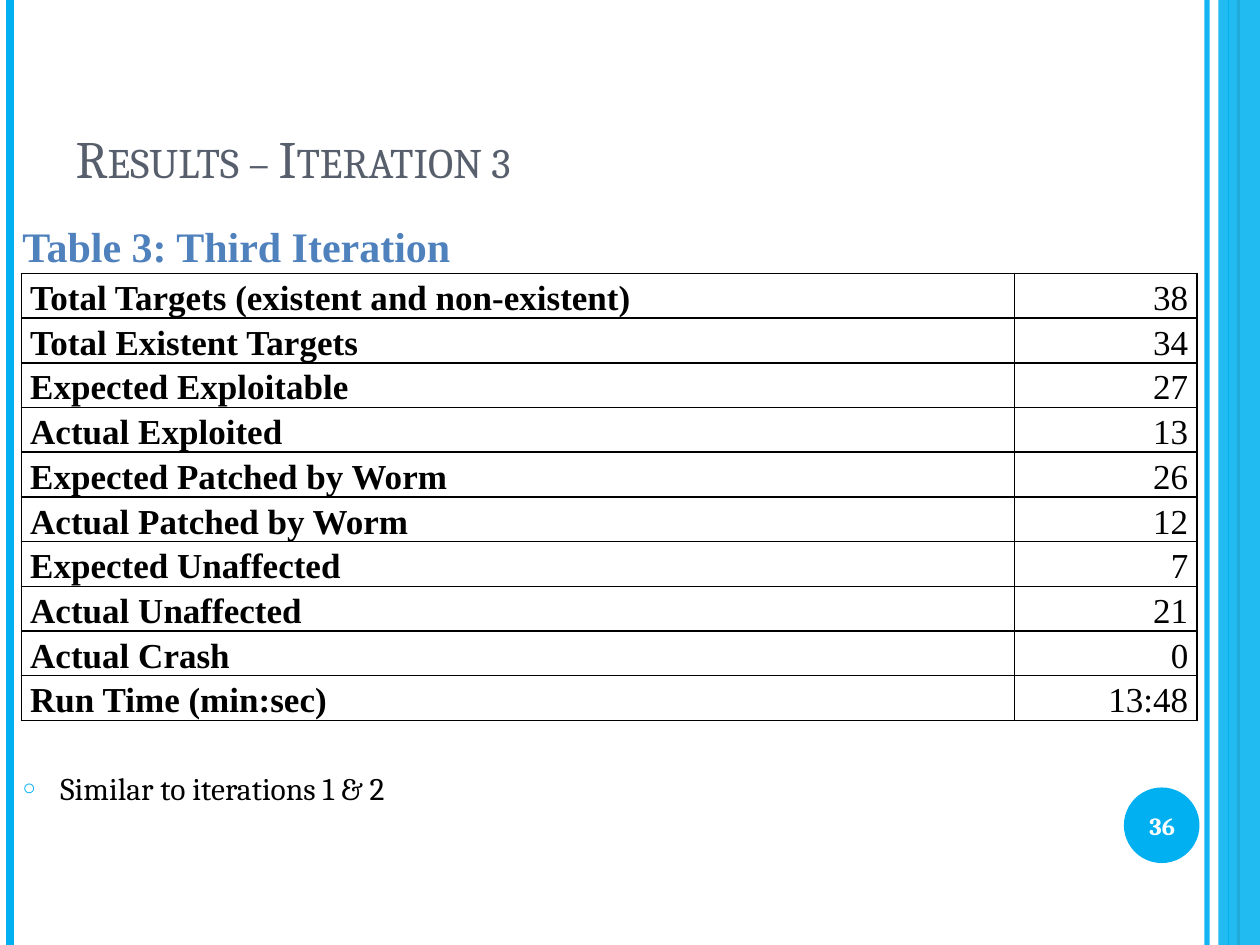
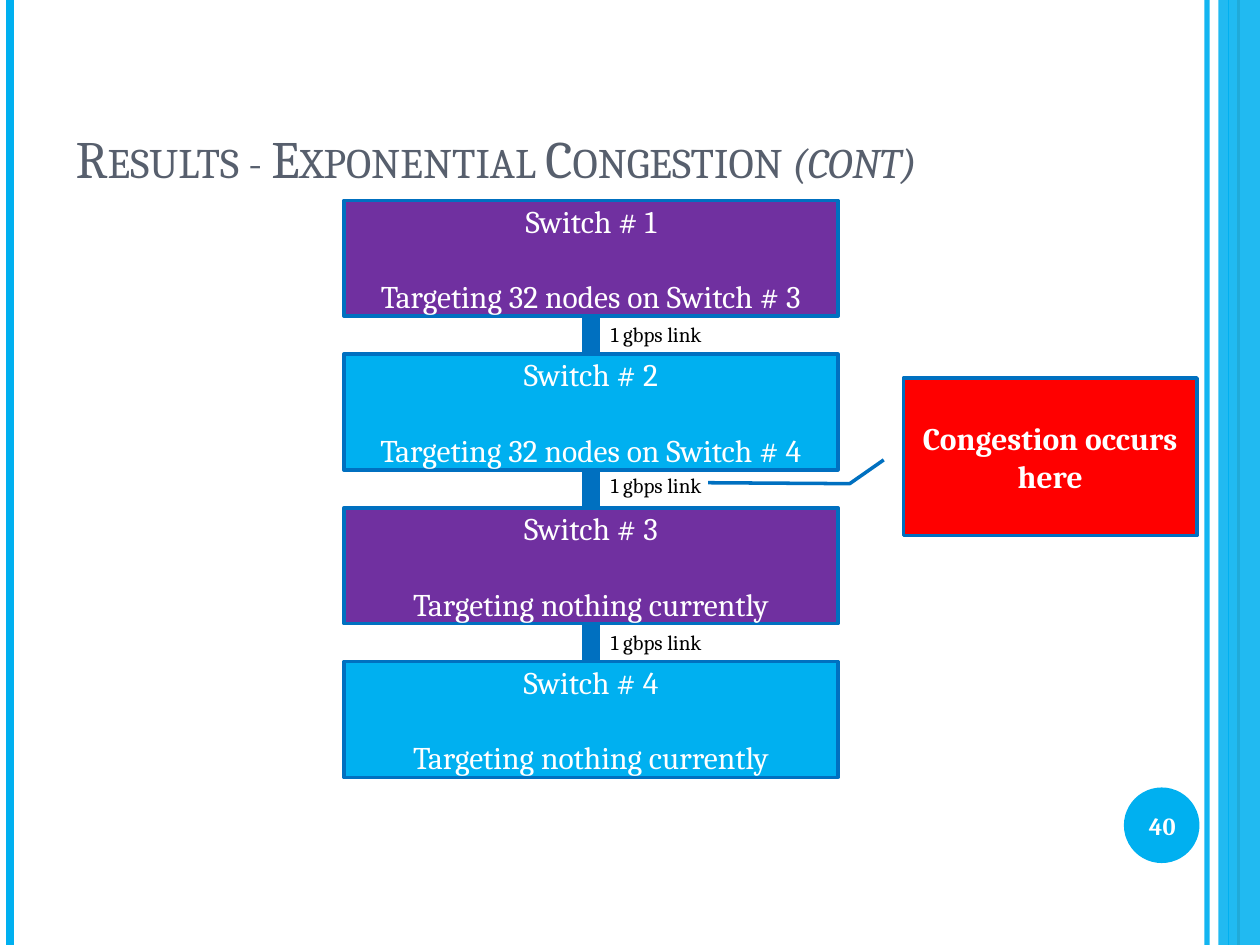
"""Build two results slides: a table of the third iteration and a congestion diagram."""
from lxml.etree import SubElement
from pptx import Presentation
from pptx.dml.color import RGBColor
from pptx.enum.shapes import MSO_CONNECTOR, MSO_SHAPE
from pptx.enum.text import MSO_ANCHOR, MSO_AUTO_SIZE, PP_ALIGN
from pptx.oxml.ns import qn
from pptx.util import Inches, Pt

SKY = RGBColor(0x00, 0xB0, 0xF0)
BLUE = RGBColor(0x00, 0x70, 0xC0)
PURPLE = RGBColor(0x70, 0x30, 0xA0)
RED = RGBColor(0xFF, 0x00, 0x00)
ORANGE = RGBColor(0xFE, 0x86, 0x37)
SLATE = RGBColor(0x57, 0x5F, 0x6D)
CAPTION_BLUE = RGBColor(0x4F, 0x81, 0xBD)
BLACK = RGBColor(0x00, 0x00, 0x00)
WHITE = RGBColor(0xFF, 0xFF, 0xFF)

SERIF, TIMES = "Cambria", "Times New Roman"
TITLE = {"name": SERIF, "size": Pt(30), "color": SLATE}
BULLET = {"name": SERIF, "size": Pt(18), "color": BLACK}
PAGE_NUMBER = {"name": SERIF, "size": Pt(14), "color": WHITE, "bold": True}
CAPTION = {"name": TIMES, "size": Pt(24), "color": CAPTION_BLUE, "bold": True}
ROW_LABEL = {"name": TIMES, "size": Pt(20), "color": BLACK, "bold": True}
ROW_VALUE = {**ROW_LABEL, "bold": False}
SWITCH = {"name": SERIF, "size": Pt(18), "color": WHITE}
CALLOUT = {**SWITCH, "bold": True}
LINK = {"name": SERIF, "size": Pt(12), "color": BLACK}

ITERATION = {
    "title": [("Results – Iteration 3", False)],
    "number": "36",
    "caption": "Table 3: Third Iteration",
    "rows": [
        ("Total Targets (existent and non-existent)", "38"),
        ("Total Existent Targets", "34"),
        ("Expected Exploitable", "27"),
        ("Actual Exploited", "13"),
        ("Expected Patched by Worm", "26"),
        ("Actual Patched by Worm", "12"),
        ("Expected Unaffected", "7"),
        ("Actual Unaffected", "21"),
        ("Actual Crash", "0"),
        ("Run Time (min:sec)", "13:48"),
    ],
    "bullet": "Similar to iterations 1 & 2",
}
CONGESTION = {
    "title": [("Results - Exponential Congestion ", False), ("(cont)", True)],
    "number": "40",
    "switches": [
        ("Switch # 1", "Targeting 32 nodes on Switch # 3"),
        ("Switch # 2", "Targeting 32 nodes on Switch # 4"),
        ("Switch # 3", "Targeting nothing currently"),
        ("Switch # 4", "Targeting nothing currently"),
    ],
    "link": "1 gbps link",
    "callout": "Congestion occurs here",
}
CALLOUT_BENDS = [0.52, -0.067, 0.671, -0.183, 0.665, -0.665]
SWITCH_LEFT, SWITCH_TOP, SWITCH_WIDTH, SWITCH_HEIGHT = 2.73, 1.59, 3.92, 0.92
SWITCH_STEP = 1.22
LINK_TOPS = (2.5, 3.7, 4.95)
COLUMN_WIDTHS = (7.88, 1.45)
TABLE_HEIGHT = 3.55


def add_span(para, text, style):
    """Append a run and give it the font values of a style."""
    span = para.add_run()
    span.text = text
    for name, value in style.items():
        if name == "color":
            span.font.color.rgb = value
        else:
            setattr(span.font, name, value)
    return span


def write(frame, lines, style, align=PP_ALIGN.LEFT, anchor=MSO_ANCHOR.MIDDLE, gap=0):
    """Write one paragraph per line, with a gap in points between them."""
    frame.word_wrap = True
    frame.vertical_anchor = anchor
    for index, line in enumerate(lines):
        para = frame.add_paragraph() if index else frame.paragraphs[0]
        para.alignment = align
        if index:
            para.space_before = Pt(gap)
        add_span(para, line, style)


def set_alpha(shape, percent):
    """Make the first colour of a shape partly transparent."""
    color = next(shape._element.spPr.iter(qn("a:srgbClr")))
    SubElement(color, qn("a:alpha")).set("val", str(percent * 1000))


def add_line(page, start, end, color, width):
    """Draw a straight line without a shadow."""
    ends = [Inches(value) for value in (*start, *end)]
    line = page.shapes.add_connector(MSO_CONNECTOR.STRAIGHT, *ends)
    line.line.color.rgb = color
    line.line.width = Pt(width)
    SubElement(line._element.spPr, qn("a:effectLst"))
    return line


def add_shape(page, kind, place, fill, outline=None):
    """Draw a filled preset shape with an optional outline."""
    shape = page.shapes.add_shape(kind, *map(Inches, place))
    shape.shadow.inherit = False
    shape.fill.solid()
    shape.fill.fore_color.rgb = fill
    if outline is None:
        shape.line.fill.background()
    else:
        shape.line.color.rgb = outline
        shape.line.width = Pt(2)
    return shape


def add_text(page, place, text, style, **options):
    """Add a text box holding one line."""
    box = page.shapes.add_textbox(*map(Inches, place))
    write(box.text_frame, [text], style, **options)
    return box


def move(shape, place):
    """Set the position and size of a placeholder."""
    for name, value in zip(("left", "top", "width", "height"), place):
        setattr(shape, name, Inches(value))


def add_page(deck, layout, content):
    """Add a slide with the shared bands, title and page number."""
    page = deck.slides.add_slide(deck.slide_layouts[layout])

    def add_band(x, color, width):
        return add_line(page, (x, 0), (x, 7.5), color, width)

    set_alpha(add_band(9.58, SKY, 3), 93)
    add_band(0.08, SKY, 4.5)
    add_band(9.83, ORANGE, 1.5)
    set_alpha(add_shape(page, MSO_SHAPE.RECTANGLE, (9.67, 0, 0.33, 7.5), SKY), 87)
    add_band(9.75, SKY, 0.75)
    add_shape(page, MSO_SHAPE.OVAL, (8.92, 6.25, 0.6, 0.6), SKY)
    add_text(page, (8.89, 6.27, 0.67, 0.57), content["number"], PAGE_NUMBER,
             align=PP_ALIGN.CENTER)

    title = page.shapes.title
    move(title, (0.5, 0.3, 8.17, 1.25))
    frame = title.text_frame
    frame.auto_size = MSO_AUTO_SIZE.NONE
    frame.vertical_anchor = MSO_ANCHOR.BOTTOM
    frame.paragraphs[0].alignment = PP_ALIGN.LEFT
    for text, italic in content["title"]:
        span = add_span(frame.paragraphs[0], text, {**TITLE, "italic": italic})
        span._r.get_or_add_rPr().set("cap", "small")
    return page


def add_bullet(body, text):
    """Fill the body placeholder with one ring-bulleted line."""
    move(body, (0.08, 6.05, 9, 0.87))
    body.text_frame.auto_size = MSO_AUTO_SIZE.NONE
    write(body.text_frame, [text], BULLET, anchor=MSO_ANCHOR.TOP)
    para = body.text_frame.paragraphs[0]
    para.space_before = Pt(6)
    props = para._p.get_or_add_pPr()
    props.set("marL", str(Inches(0.3)))
    props.set("indent", str(-Inches(0.3)))
    color = SubElement(props, qn("a:buClr"))
    SubElement(color, qn("a:srgbClr")).set("val", str(SKY))
    SubElement(props, qn("a:buSzPct")).set("val", "70000")
    SubElement(props, qn("a:buChar")).set("char", "○")


def format_cell(cell, text, style, align):
    """Write a table cell with black borders and no fill."""
    margins = {"margin_left": 0.07, "margin_right": 0.07, "margin_top": 0, "margin_bottom": 0}
    for name, value in margins.items():
        setattr(cell, name, Inches(value))
    cell.vertical_anchor = MSO_ANCHOR.BOTTOM
    para = cell.text_frame.paragraphs[0]
    para.alignment = align
    para.line_spacing = 1.05
    add_span(para, text, style)
    props = cell._tc.get_or_add_tcPr()
    for side in ("lnL", "lnR", "lnT", "lnB"):
        border = SubElement(props, qn(f"a:{side}"), w=str(Pt(1)))
        fill = SubElement(border, qn("a:solidFill"))
        SubElement(fill, qn("a:srgbClr")).set("val", str(BLACK))
    cell.fill.background()


def build_iteration(deck):
    """Build the slide with the table of results."""
    page = add_page(deck, 1, ITERATION)
    add_bullet(page.placeholders[1], ITERATION["bullet"])
    rows = ITERATION["rows"]
    place = map(Inches, (0.17, 2.17, sum(COLUMN_WIDTHS), TABLE_HEIGHT))
    table = page.shapes.add_table(len(rows), len(COLUMN_WIDTHS), *place).table
    table.first_row = table.horz_banding = False
    for column, width in zip(table.columns, COLUMN_WIDTHS):
        column.width = Inches(width)
    for index, (label, value) in enumerate(rows):
        format_cell(table.cell(index, 0), label, ROW_LABEL, PP_ALIGN.LEFT)
        format_cell(table.cell(index, 1), value, ROW_VALUE, PP_ALIGN.RIGHT)
    caption = add_text(page, (0.08, 1.7, 3.63, 0.5), ITERATION["caption"], CAPTION)
    caption.text_frame.word_wrap = False


def build_congestion(deck):
    """Build the slide with the chain of switches."""
    page = add_page(deck, 5, CONGESTION)
    switches = CONGESTION["switches"]
    tops = [SWITCH_TOP + SWITCH_STEP * index for index in range(len(switches))]
    for index, (top, lines) in enumerate(zip(tops, switches)):
        place = (SWITCH_LEFT, top, SWITCH_WIDTH, SWITCH_HEIGHT)
        color = (PURPLE, SKY)[index % 2]
        box = add_shape(page, MSO_SHAPE.RECTANGLE, place, color, BLUE)
        write(box.text_frame, lines, SWITCH, PP_ALIGN.CENTER, gap=21.5)
    middle = SWITCH_LEFT + SWITCH_WIDTH / 2
    for top, below, link_top in zip(tops, tops[1:], LINK_TOPS):
        add_line(page, (middle, top + SWITCH_HEIGHT), (middle, below), BLUE, 10)
        add_text(page, (4.75, link_top, 1.08, 0.3), CONGESTION["link"], LINK)
    callout = add_shape(page, MSO_SHAPE.LINE_CALLOUT_2, (7.17, 3, 2.33, 1.25), RED, BLUE)
    for index, bend in enumerate(CALLOUT_BENDS):
        callout.adjustments[index] = bend
    write(callout.text_frame, [CONGESTION["callout"]], CALLOUT, PP_ALIGN.CENTER)


def main():
    """Build and save the deck."""
    deck = Presentation()
    deck.slide_width, deck.slide_height = Inches(10), Inches(7.5)
    build_iteration(deck)
    build_congestion(deck)
    deck.save("out.pptx")


if __name__ == "__main__":
    main()
